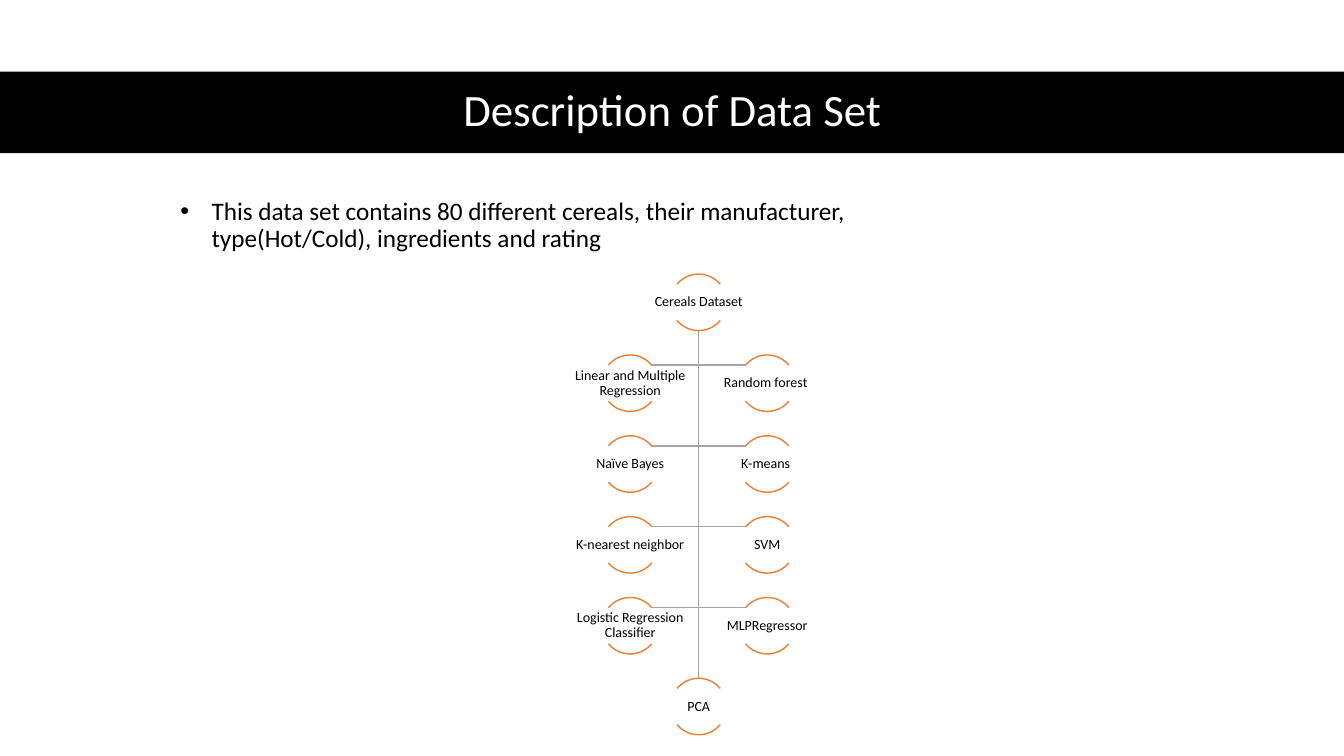
"""Build the slide that describes the cereals data set and its models."""
import lxml.etree
import pptx
import pptx.dml.color
import pptx.enum.shapes
import pptx.enum.text
import pptx.oxml.ns
import pptx.util

Inches = pptx.util.Inches
COLORS = {"black": "000000", "white": "FFFFFF", "gray": "A5A5A5", "orange": "ED7D31"}
ALIGN = pptx.enum.text.PP_ALIGN
ANCHOR = pptx.enum.text.MSO_ANCHOR
SHAPE = pptx.enum.shapes.MSO_SHAPE

MODEL_ROWS = [
    ("Linear and Multiple Regression", "Random forest "),
    ("Naïve Bayes", "K-means "),
    ("K-nearest neighbor", "SVM"),
    ("Logistic Regression Classifier", "MLPRegressor"),
]
TRUNK_X = 6.93
COLUMN_OFFSET = 0.68
BRANCH_LENGTH = 0.47
FIRST_TOP, LAST_TOP = 2.72, 6.73
ROW_PITCH = (LAST_TOP - FIRST_TOP) / (len(MODEL_ROWS) + 1)
NODE_SIZE = 0.56
LABEL_WIDTH, LABEL_HEIGHT, LABEL_DROP = 1.13, 0.36, 0.1
ARC_ANGLES = [(132, 192), (24, 84)]


def rgb(name):
    return pptx.dml.color.RGBColor.from_string(COLORS[name])


class SlidePainter:
    def __init__(self, slide, font="Calibri", line_width=1):
        self.shapes = slide.shapes
        self.font = font
        self.line_width = pptx.util.Pt(line_width)

    def start_group(self):
        self.shapes = self.shapes.add_group_shape().shapes

    def outline(self, shape, color):
        shape.line.color.rgb = rgb(color)
        shape.line.width = self.line_width

    def band(self, left, top, width, height, color):
        shape = self.shapes.add_shape(
            SHAPE.RECTANGLE, Inches(left), Inches(top), Inches(width), Inches(height))
        shape.shadow.inherit = False
        shape.fill.solid()
        shape.fill.fore_color.rgb = rgb(color)
        shape.line.fill.background()

    def text(self, text, left, top, width, height, size=10, color="black",
             align=ALIGN.CENTER, anchor=ANCHOR.MIDDLE, margins=(0.1, 0.05), bullet_indent=None):
        box = self.shapes.add_textbox(Inches(left), Inches(top), Inches(width), Inches(height))
        frame = box.text_frame
        frame.word_wrap = True
        frame.vertical_anchor = anchor
        frame.margin_left = frame.margin_right = Inches(margins[0])
        frame.margin_top = frame.margin_bottom = Inches(margins[1])
        paragraph = frame.paragraphs[0]
        paragraph.alignment = align
        paragraph.line_spacing = 0.9
        if bullet_indent:
            self.bullet(paragraph, bullet_indent)
        run = paragraph.add_run()
        run.text = text
        run.font.name = self.font
        run.font.size = pptx.util.Pt(size)
        run.font.color.rgb = rgb(color)

    def bullet(self, paragraph, indent):
        qn = pptx.oxml.ns.qn
        properties = paragraph._p.get_or_add_pPr()
        properties.set("marL", str(Inches(indent)))
        properties.set("indent", str(-Inches(indent)))
        bullet_color = lxml.etree.SubElement(properties, qn("a:buClr"))
        lxml.etree.SubElement(bullet_color, qn("a:srgbClr"), val=COLORS["black"])
        lxml.etree.SubElement(properties, qn("a:buFont"), typeface="Arial")
        lxml.etree.SubElement(properties, qn("a:buChar"), char="•")

    def elbow(self, start_x, start_y, end_x, end_y):
        builder = self.shapes.build_freeform(Inches(start_x), Inches(start_y))
        builder.add_line_segments(
            [(Inches(start_x), Inches(end_y)), (Inches(end_x), Inches(end_y))], close=False)
        shape = builder.convert_to_shape()
        shape.shadow.inherit = False
        shape.fill.background()
        self.outline(shape, "gray")

    def vertical_line(self, x, top, bottom):
        connector = self.shapes.add_connector(
            pptx.enum.shapes.MSO_CONNECTOR.STRAIGHT,
            Inches(x), Inches(top), Inches(x), Inches(bottom))
        lxml.etree.SubElement(connector._element.spPr, pptx.oxml.ns.qn("a:effectLst"))
        self.outline(connector, "gray")

    def node(self, text, center_x, top):
        for angles in ARC_ANGLES:
            arc = self.shapes.add_shape(
                SHAPE.ARC, Inches(center_x - NODE_SIZE / 2), Inches(top),
                Inches(NODE_SIZE), Inches(NODE_SIZE))
            arc.adjustments[0], arc.adjustments[1] = angles
            arc.shadow.inherit = False
            arc.fill.background()
            self.outline(arc, "orange")
        self.text(text, center_x - LABEL_WIDTH / 2, top + LABEL_DROP,
                  LABEL_WIDTH, LABEL_HEIGHT, margins=(0.01, 0.01))


def main():
    presentation = pptx.Presentation()
    presentation.slide_width = Inches(13.33)
    presentation.slide_height = Inches(7.5)
    painter = SlidePainter(presentation.slides.add_slide(presentation.slide_layouts[6]))

    painter.band(0, 0.71, 13.33, 0.81, "black")
    painter.text("Description of Data Set", 0.54, 0.71, 12.26, 0.81, size=32, color="white")
    painter.text(
        "This data set contains 80 different cereals, their manufacturer, "
        "type(Hot/Cold), ingredients and rating",
        1.69, 1.92, 8.25, 1.4, size=18, align=ALIGN.LEFT, anchor=ANCHOR.TOP, bullet_indent=0.31)

    painter.start_group()
    row_tops = [FIRST_TOP + ROW_PITCH * (row + 1) for row in range(len(MODEL_ROWS))]
    trunk_top = FIRST_TOP + NODE_SIZE
    for top in reversed(row_tops):
        for side in (1, -1):
            painter.elbow(TRUNK_X, trunk_top, TRUNK_X + side * BRANCH_LENGTH, top + LABEL_DROP)
    painter.vertical_line(TRUNK_X, trunk_top, LAST_TOP)

    painter.node("Cereals Dataset", TRUNK_X, FIRST_TOP)
    painter.node("PCA", TRUNK_X, LAST_TOP)
    for top, models in zip(row_tops, MODEL_ROWS):
        for side, model in zip((-1, 1), models):
            painter.node(model, TRUNK_X + side * COLUMN_OFFSET, top)

    presentation.save("out.pptx")


if __name__ == "__main__":
    main()
